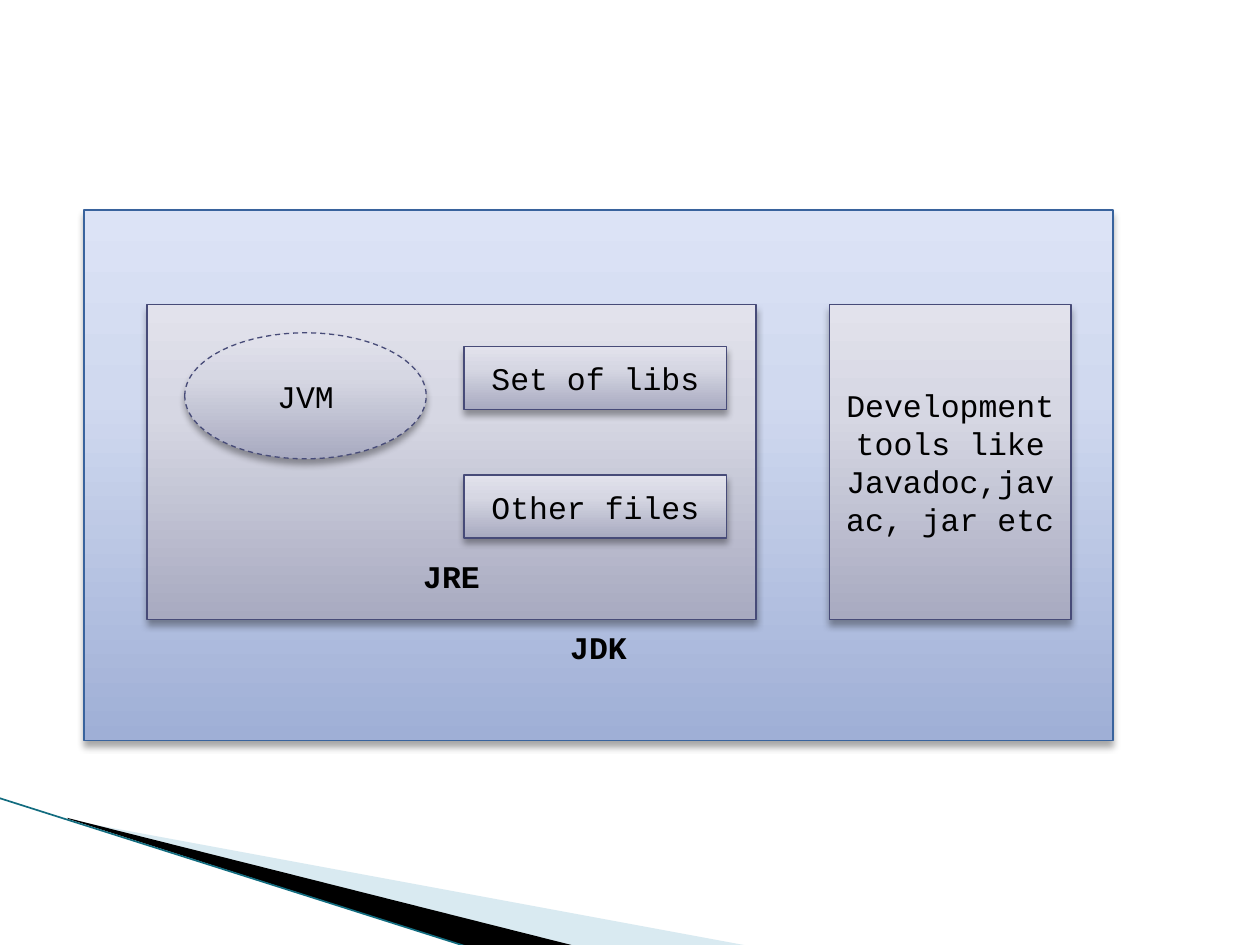
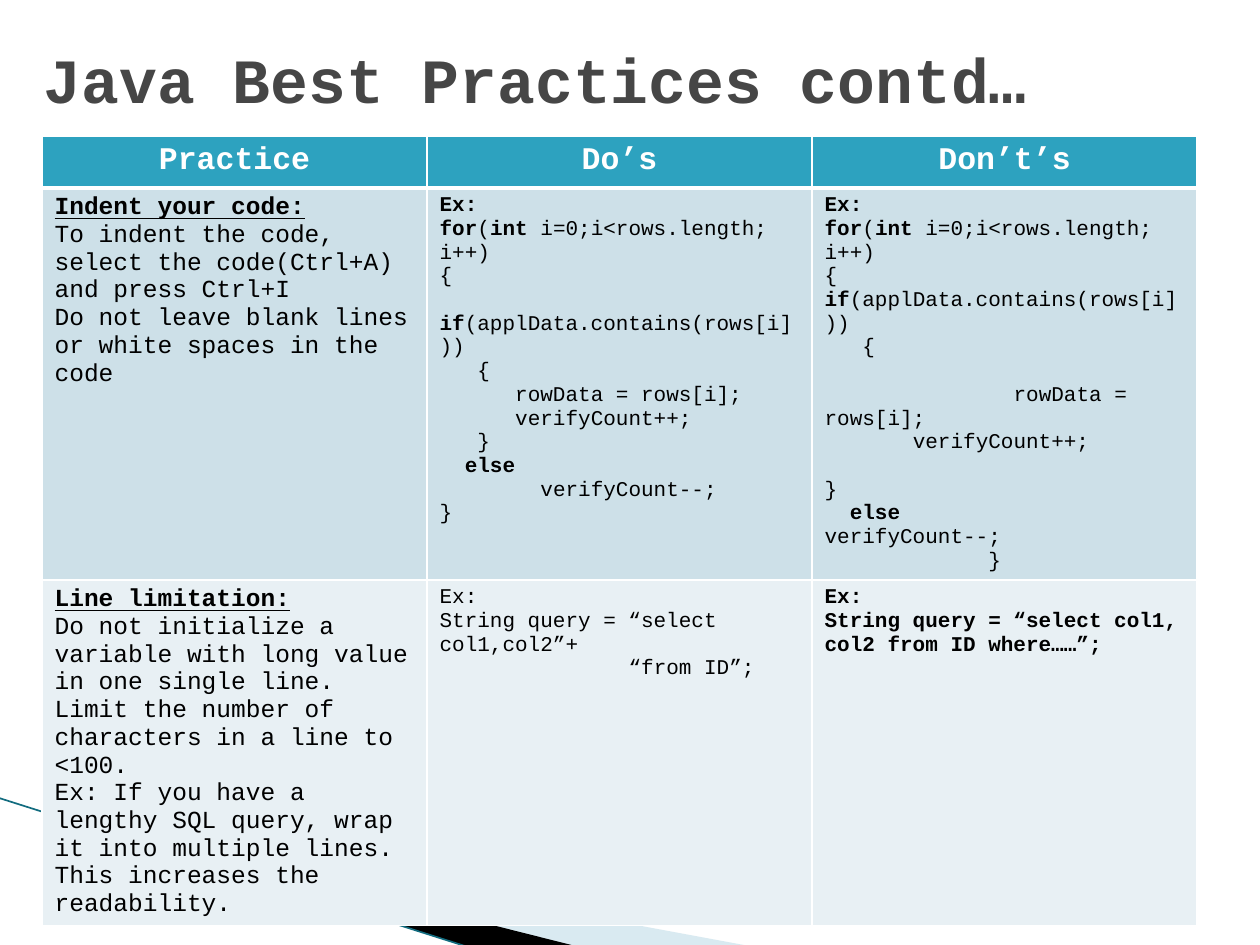
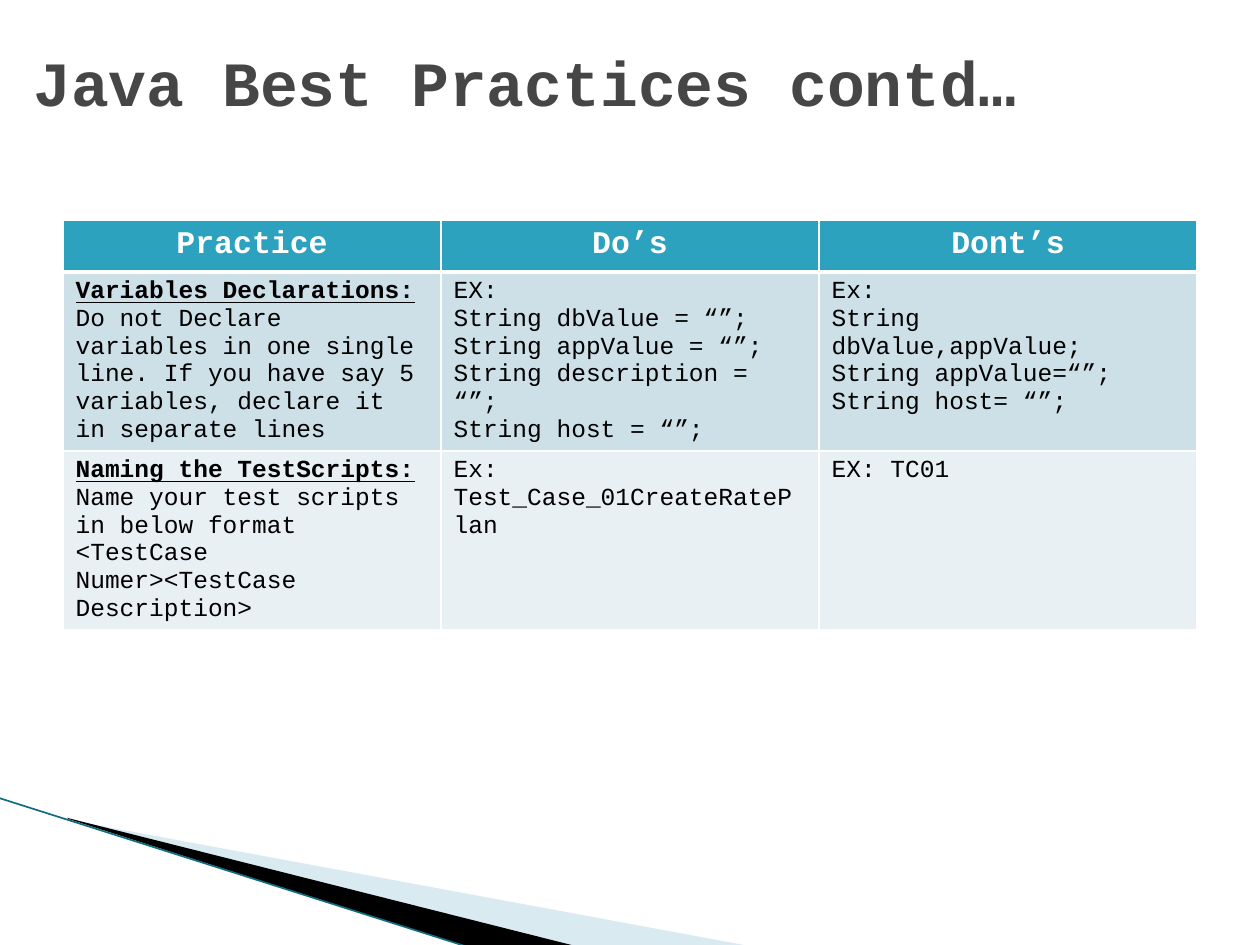
from dataclasses import dataclass

from lxml.etree import SubElement
from pptx import Presentation
from pptx.dml.color import RGBColor
from pptx.enum.dml import MSO_LINE
from pptx.enum.shapes import MSO_CONNECTOR, MSO_SHAPE
from pptx.enum.text import MSO_ANCHOR, PP_ALIGN
from pptx.oxml import parse_xml
from pptx.oxml.ns import nsdecls, qn
from pptx.util import Inches, Pt


@dataclass(frozen=True)
class Theme:
    font: str = "Courier New"
    title_size: int = 36
    label_size: int = 18
    body_size: int = 14
    code_size: int = 12
    title: str = "464646"
    text: str = "000000"
    white: str = "FFFFFF"
    header: str = "2DA2BF"
    rows: tuple = ("CDE0E8", "E8F0F4")
    wedge_light: str = "A0CBDC"
    wedge_dark: str = "000000"
    wedge_edge: str = "126C7F"
    blue: tuple = ("9FAFD6", "D0D9EF", "DCE3F6", "39639D")
    grey: tuple = ("A8AAC0", "D6D7E3", "E2E2EC", "474B78")


@dataclass(frozen=True)
class Line:
    """One paragraph; *stars* switch bold, indent counts characters, gap counts lines."""
    text: str
    indent: int = 0
    gap: int = 0


THEME = Theme()
UNITS_PER_INCH = 12  # the slide is a grid of 120 columns by 90 rows


def grid(*units):
    return [Inches(unit / UNITS_PER_INCH) for unit in units]


def rgb(color):
    return RGBColor.from_string(color)


# Text
def style(paragraph, size, color=THEME.text, bold=None, align=None):
    font = paragraph.font
    font.name, font.size, font.bold = THEME.font, Pt(size), bold
    font.color.rgb = rgb(color)
    paragraph.alignment = align


def paragraphs(frame, count):
    return [frame.paragraphs[0]] + [frame.add_paragraph() for _ in range(count - 1)]


def add_title(slide, text, place):
    frame = slide.shapes.add_textbox(*grid(*place)).text_frame
    frame.word_wrap = True
    frame.vertical_anchor = MSO_ANCHOR.MIDDLE
    frame.text = text
    style(frame.paragraphs[0], THEME.title_size, THEME.title, True)


# Corner wedge shared by all slides
def add_wedge(slide, corners, color, opacity=None):
    points = [grid(*corner) for corner in corners]
    builder = slide.shapes.build_freeform(*points[0])
    builder.add_line_segments(points[1:])
    wedge = builder.convert_to_shape()
    wedge.shadow.inherit = False
    wedge.line.fill.background()
    wedge.fill.solid()
    wedge.fill.fore_color.rgb = rgb(color)
    if opacity:
        tint = wedge._element.spPr.find(qn("a:solidFill")).find(qn("a:srgbClr"))
        SubElement(tint, qn("a:alpha"), val=str(opacity * 1000))


def add_corner(slide):
    add_wedge(slide, [(6.6, 78.1), (71.4, 90.1), (54.7, 90.1), (6.6, 78)],
              THEME.wedge_light, 40)
    add_wedge(slide, [(6.4, 77.9), (54.8, 90.1), (44.6, 90.2), (6.5, 78)],
              THEME.wedge_dark)
    edge = slide.shapes.add_connector(MSO_CONNECTOR.STRAIGHT, *grid(-0.1, 76, 44.6, 90.2))
    edge.line.color.rgb = rgb(THEME.wedge_edge)
    edge.line.width = Pt(0.95)
    SubElement(edge._element.spPr, qn("a:effectLst"))


# Diagram
def add_box(slide, lines, place, palette=THEME.grey, kind=MSO_SHAPE.RECTANGLE,
            label_rise=None):
    """A gradient box; label_rise puts a bold label that many rows above its bottom."""
    box = slide.shapes.add_shape(kind, *grid(*place))
    *shades, outline = palette
    stops = "".join(f'<a:gs pos="{at * 1000}"><a:srgbClr val="{shade}"/></a:gs>'
                    for at, shade in zip((0, 65, 100), shades))
    box._element.spPr.append(parse_xml(
        f'<a:gradFill {nsdecls("a")} rotWithShape="1"><a:gsLst>{stops}</a:gsLst>'
        '<a:lin ang="16200000" scaled="0"/></a:gradFill>'))
    box.line.color.rgb = rgb(outline)
    box.line.width = Pt(0.75)
    box.shadow.inherit = False
    box._element.spPr.find(qn("a:effectLst")).append(parse_xml(
        f'<a:outerShdw {nsdecls("a")} blurRad="{Pt(4)}" dist="{Pt(3)}" dir="5400000" '
        'rotWithShape="0"><a:srgbClr val="000000"><a:alpha val="35000"/></a:srgbClr>'
        '</a:outerShdw>'))
    frame = box.text_frame
    frame.word_wrap = True
    frame.vertical_anchor = MSO_ANCHOR.MIDDLE
    if label_rise:
        frame.vertical_anchor = MSO_ANCHOR.BOTTOM
        frame.margin_bottom, = grid(label_rise)
    for paragraph, text in zip(paragraphs(frame, len(lines)), lines):
        paragraph.text = text
        style(paragraph, THEME.label_size, bold=bool(label_rise), align=PP_ALIGN.CENTER)
    return box


# Tables
def fill_cell(cell, color, bottom=1):
    props = cell._tc.get_or_add_tcPr()
    for side, width in (("L", 1), ("R", 1), ("T", 1), ("B", bottom)):
        props.append(parse_xml(
            f'<a:ln{side} {nsdecls("a")} w="{Pt(width)}"><a:solidFill>'
            f'<a:srgbClr val="{THEME.white}"/></a:solidFill></a:ln{side}>'))
    cell.fill.solid()
    cell.fill.fore_color.rgb = rgb(color)


def write_practice(cell, heading, *body):
    first, *rest = paragraphs(cell.text_frame, len(body) + 1)
    first.text = heading
    style(first, THEME.body_size, bold=True)
    first.font.underline = True
    for paragraph, text in zip(rest, body):
        paragraph.text = text
        style(paragraph, THEME.body_size)


def write_code(cell, lines, size):
    for paragraph, line in zip(paragraphs(cell.text_frame, len(lines)), lines):
        line = line if isinstance(line, Line) else Line(line)
        style(paragraph, size)
        if line.gap:
            paragraph.space_before = Pt(line.gap * size * 1.13)
        if line.indent:
            props = paragraph._p.get_or_add_pPr()
            props.set("marL", "0")
            props.set("indent", str(Pt(line.indent * size * 0.6)))
        for part, text in enumerate(line.text.split("*")):
            if text:
                run = paragraph.add_run()
                run.text = text
                if part % 2:
                    run.font.bold = True


def add_practices(slide, place, headers, rows, code_size):
    """Rows hold the practice, the good code and the bad code."""
    left, top, width = place
    row_height = 4.9
    table = slide.shapes.add_table(
        len(rows) + 1, len(headers),
        *grid(left, top, width, row_height * (len(rows) + 1))).table
    table.horz_banding = False
    for cell, text in zip(table.rows[0].cells, headers):
        fill_cell(cell, THEME.header, bottom=3)
        cell.text = text
        style(cell.text_frame.paragraphs[0], THEME.label_size, THEME.white, True,
              PP_ALIGN.CENTER)
    for number, (practice, *examples) in enumerate(rows, 1):
        practice_cell, *code_cells = table.rows[number].cells
        write_practice(practice_cell, *practice)
        for cell, lines in zip(code_cells, examples):
            write_code(cell, lines, code_size)
        for cell in (practice_cell, *code_cells):
            fill_cell(cell, THEME.rows[number - 1])


# Content
TITLE = "Java Best Practices contd…"
LOOP_START = ["*Ex:*", "*for*(*int *i=0;i<rows.length; i++)", "{"]
CONDITION = "*if*(applData.contains(rows[i]))"

STYLE_PRACTICES = [
    (("Indent your code:",
      "To indent the code, select the code(Ctrl+A) and press Ctrl+I",
      "Do not leave blank lines or white spaces in the code"),
     [*LOOP_START, Line(CONDITION, gap=1), Line("{", 3),
      Line("rowData = rows[i];", 6), Line("verifyCount++;", 6), Line("}", 3),
      Line("*else*", 2), Line("verifyCount--;", 8), "}"],
     [*LOOP_START, CONDITION, Line("{", 3),
      Line("rowData = rows[i];", 15, gap=1), Line("verifyCount++;", 7),
      Line("}", gap=1), Line("*else*", 2), "verifyCount--;", Line("}", 13)]),
    (("Line limitation:",
      "Do not initialize a variable with long value in one single line. "
      "Limit the number of characters in a line to <100.",
      "Ex: If you have a lengthy SQL query, wrap it into multiple lines. "
      "This increases the readability."),
     ["Ex:", "String query = “select col1,col2”+", Line("“from ID”;", 15)],
     ["*Ex:*", "*String query = “select col1, col2 from ID where……”;*"]),
]

NAMING_PRACTICES = [
    (("Variables Declarations:",
      "Do not Declare variables in one single line. If you have say 5 variables, "
      "declare it in separate lines"),
     ["EX:", "String dbValue = “”;", "String appValue = “”;",
      "String description = “”;", "String host = “”;"],
     ["Ex:", "String dbValue,appValue;", "String appValue=“”; String host= “”;"]),
    (("Naming the TestScripts:",
      "Name your test scripts in below format",
      "<TestCase Numer><TestCase Description>"),
     ["Ex:", "Test_Case_01CreateRatePlan"],
     ["EX: TC01"]),
]


def draw_jdk(slide):
    add_box(slide, ["JDK"], (8, 20, 98, 50.5), THEME.blue, label_rise=7.1)
    add_box(slide, ["JRE"], (14, 29, 58, 30), label_rise=2.3)
    add_box(slide, ["Development tools like", "Javadoc,javac, jar etc"], (79, 29, 23, 30))
    jvm = add_box(slide, ["JVM"], (17.6, 31.7, 23, 12), kind=MSO_SHAPE.OVAL)
    jvm.line.dash_style = MSO_LINE.DASH
    for number, part in enumerate(("Set of libs", "Other files")):
        add_box(slide, [part], (44.2, 33 + 12.25 * number, 25, 6))


def main():
    deck = Presentation()
    deck.slide_width, deck.slide_height = grid(120, 90)
    slides = [deck.slides.add_slide(deck.slide_layouts[6]) for _ in range(3)]
    for slide in slides:
        add_corner(slide)
    platform, code_style, naming = slides

    draw_jdk(platform)

    add_practices(code_style, (4, 13, 110), ("Practice", "Do’s", "Don’t’s"),
                  STYLE_PRACTICES, THEME.code_size)
    add_title(code_style, TITLE, (3, 2, 108, 11))

    add_practices(naming, (6, 21, 108), ("Practice", "Do’s", "Dont’s"),
                  NAMING_PRACTICES, THEME.body_size)
    add_title(naming, TITLE, (2, 2, 108, 11.4))

    deck.save("out.pptx")


if __name__ == "__main__":
    main()
